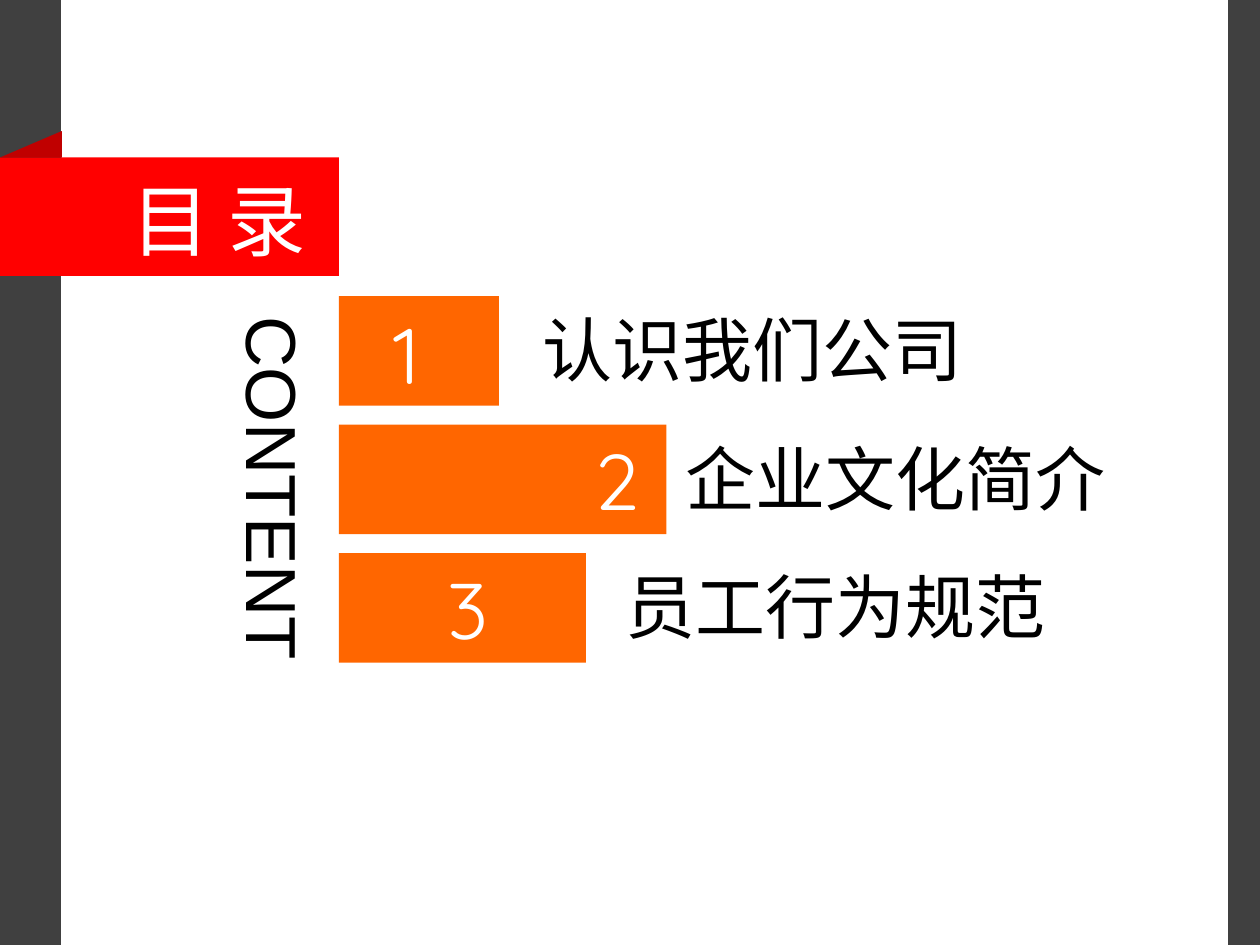
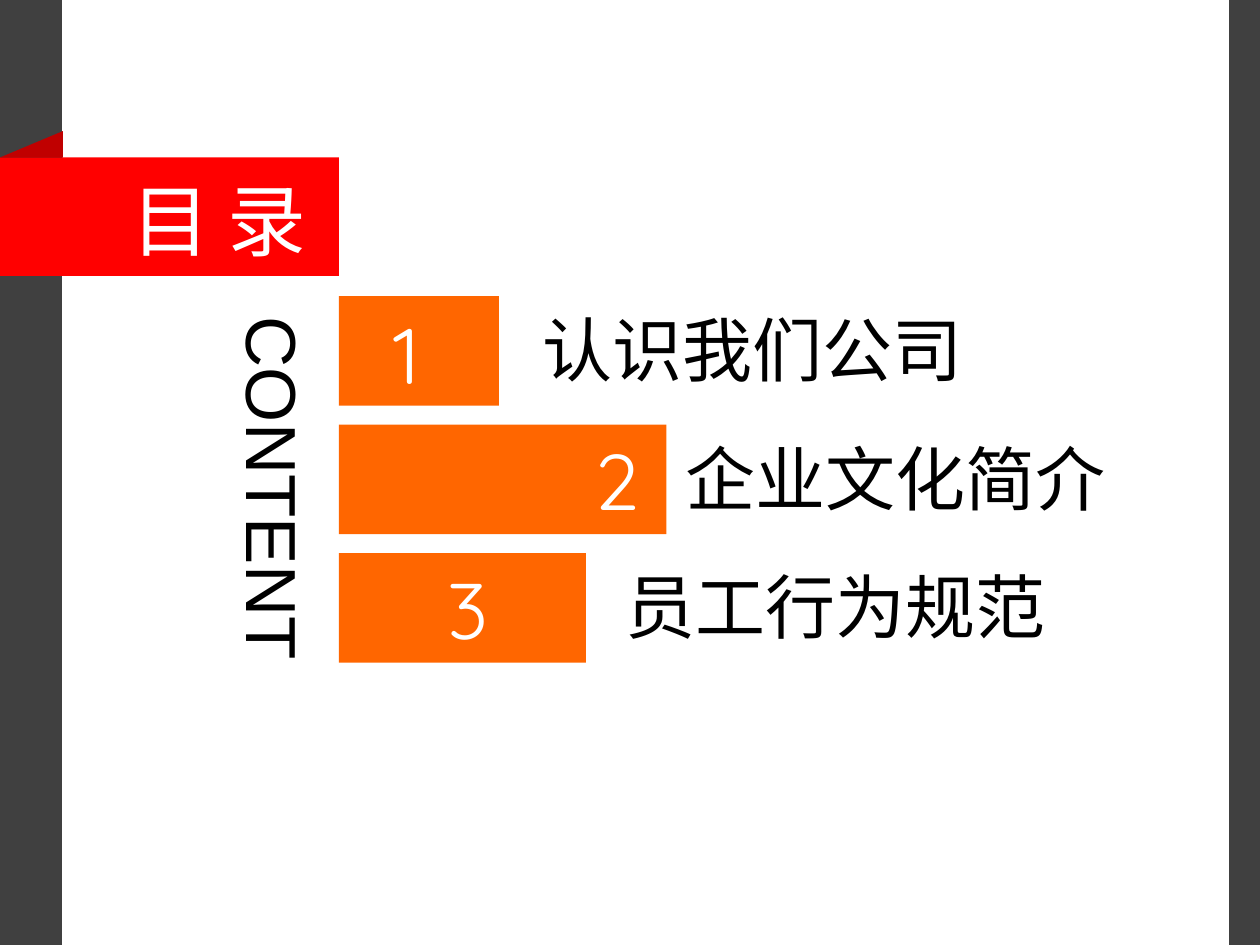
import dataclasses

import pptx
import pptx.dml.color
import pptx.enum.shapes
import pptx.enum.text
import pptx.oxml.ns
import pptx.util
from lxml import etree

ALIGN = pptx.enum.text.PP_ALIGN
COLS, ROWS = 100, 75  # slide grid: one cell is 0.1 inch square


@dataclasses.dataclass(frozen=True)
class Theme:
    back: str = "404040"
    panel: str = "FFFFFF"
    ribbon: str = "FF0000"
    fold: str = "C00000"
    bar: str = "FF6600"
    light: str = "FFFFFF"
    dark: str = "000000"
    latin: str = "Arial"
    chinese: str = "Noto Sans CJK SC"
    digits: str = "Quicksand"
    title_size: float = 45
    side_size: float = 40.5
    item_size: float = 40


THEME = Theme()

BAR_LEFT, BAR_TOP, BAR_HEIGHT, BAR_PITCH = 26.9, 23.5, 8.7, 10.2
RIBBON_TOP, RIBBON_HEIGHT = 12.5, 9.4


@dataclasses.dataclass(frozen=True)
class Item:
    """One agenda row; drops are measured from the top of its bar."""
    label: str
    bar_width: float
    digit_left: float
    digit_drop: float
    label_left: float
    label_width: float
    label_drop: float


ITEMS = [
    Item("认识我们公司", 12.7, 30.8, 0.4, 40.6, 38.3, 0.4),
    Item("企业文化简介", 26, 46.8, 0.2, 53.2, 35.7, 0.5),
    Item("员工行为规范", 19.6, 35.1, 0.2, 46.6, 39.4, 0.4),
]


def cells(*counts):
    """Grid cells to slide lengths."""
    return [pptx.util.Inches(n * 10 / COLS) for n in counts]


def paint(fill, color):
    fill.solid()
    fill.fore_color.rgb = pptx.dml.color.RGBColor.from_string(color)


def add_block(slide, left, top, width, height, color):
    sp = slide.shapes.add_shape(pptx.enum.shapes.MSO_SHAPE.RECTANGLE,
                                *cells(left, top, width, height))
    sp.shadow.inherit = False
    paint(sp.fill, color)
    sp.line.fill.background()
    return sp


def write(sp, text, size, font=THEME.latin, color=THEME.dark,
          align=ALIGN.LEFT, inset=1):
    """Fill a text shape with one formatted line."""
    tf = sp.text_frame
    tf.word_wrap = False
    tf.auto_size = pptx.enum.text.MSO_AUTO_SIZE.SHAPE_TO_FIT_TEXT
    tf.vertical_anchor = pptx.enum.text.MSO_ANCHOR.TOP
    tf.margin_left, tf.margin_right = cells(inset, inset)
    tf.margin_top, tf.margin_bottom = cells(0.4, 0.4)
    p = tf.paragraphs[0]
    p.alignment = align
    r = p.add_run()
    r.text = text
    r.font.size = pptx.util.Pt(size)
    r.font.name = font
    paint(r.font.fill, color)
    ea = etree.SubElement(r.font._element, pptx.oxml.ns.qn("a:ea"))
    ea.set("typeface", THEME.chinese)


def add_text(slide, left, top, width, height, text, size, **style):
    sp = slide.shapes.add_textbox(*cells(left, top, width, height))
    write(sp, text, size, **style)
    return sp


def add_panel(slide, left):
    paint(slide.background.fill, THEME.back)
    sp = add_block(slide, left, 0, 92.3, ROWS, THEME.panel)
    paint(sp.line.fill, THEME.panel)
    sp.line.width = pptx.util.Pt(2)


def add_ribbon(slide, text, fold_right):
    add_block(slide, 0, RIBBON_TOP, BAR_LEFT, RIBBON_HEIGHT, THEME.ribbon)
    # Folded corner above the band
    start, right, low, high = cells(0, fold_right, RIBBON_TOP, 10.4)
    outline = slide.shapes.build_freeform(right, low)
    outline.add_line_segments([(start, low), (right, high)], close=True)
    sp = outline.convert_to_shape()
    sp.shadow.inherit = False
    paint(sp.fill, THEME.fold)
    sp.line.fill.background()
    # Title placeholder, brought in front of the band
    title = slide.shapes.title
    title.left, title.top, title.width, title.height = cells(9.4, 13.2, 16.4, 8.3)
    write(title, text, THEME.title_size, color=THEME.light)
    title._element.getparent().append(title._element)


def add_item(slide, index, item):
    top = BAR_TOP + index * BAR_PITCH
    add_block(slide, BAR_LEFT, top, item.bar_width, BAR_HEIGHT, THEME.bar)
    add_text(slide, item.digit_left, top + item.digit_drop, 4.3, 8.3,
             str(index + 1), THEME.title_size, font=THEME.digits,
             color=THEME.light, inset=0.4)
    add_text(slide, item.label_left, top + item.label_drop,
             item.label_width, 7.7, item.label, THEME.item_size,
             font=THEME.chinese, align=ALIGN.CENTER)


def add_agenda(prs, panel_left):
    slide = prs.slides.add_slide(prs.slide_layouts.get_by_name("Title Only"))
    add_panel(slide, panel_left)
    add_ribbon(slide, "目 录", fold_right=panel_left - 0.1)
    side = add_text(slide, 7, 35.1, 29.5, 7.6, "CONTENT", THEME.side_size)
    side.rotation = 90
    for index, item in enumerate(ITEMS):
        add_item(slide, index, item)


def main():
    prs = pptx.Presentation()
    prs.slide_width, prs.slide_height = cells(COLS, ROWS)
    for panel_left in (5, 5.1):
        add_agenda(prs, panel_left)
    prs.save("out.pptx")


if __name__ == "__main__":
    main()
